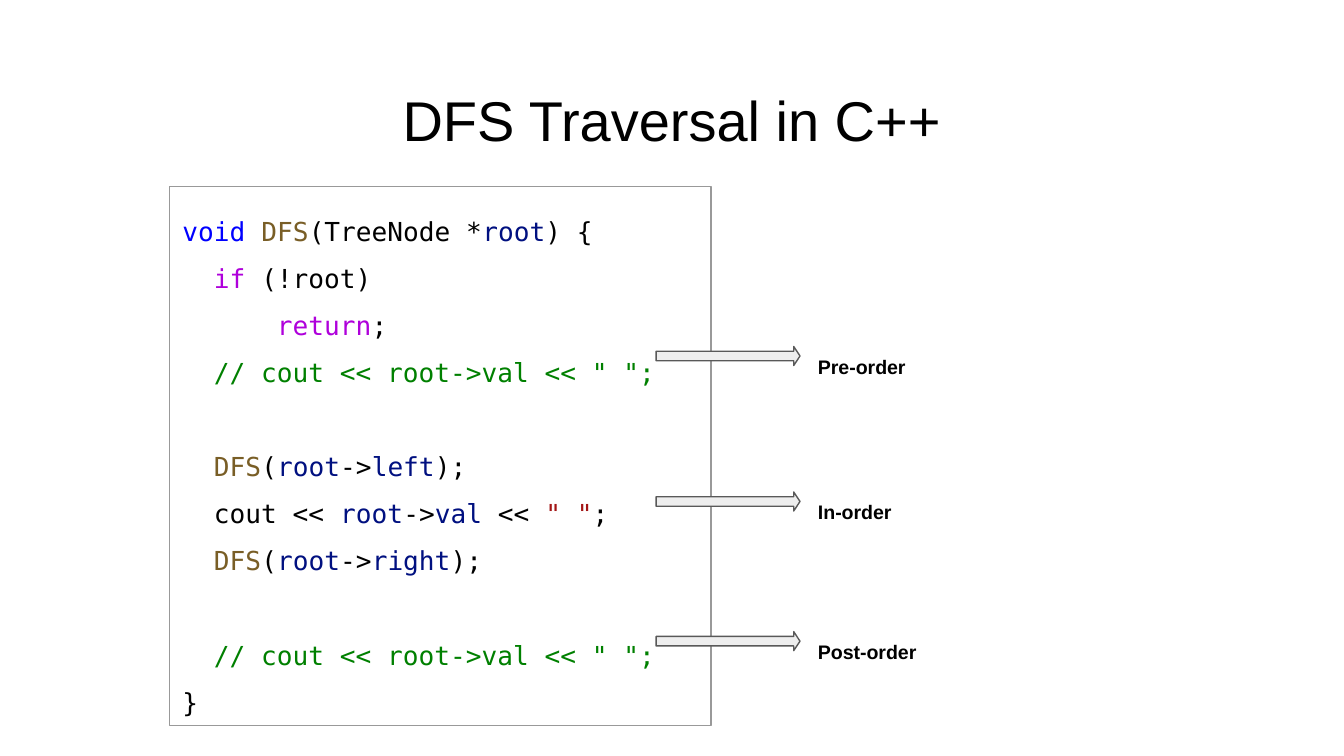
"""Build the slide that explains depth-first traversal in C++."""
import pptx
import pptx.dml.color
import pptx.enum.shapes
import pptx.enum.text
import pptx.util

Cm = pptx.util.Cm
Pt = pptx.util.Pt

BLACK, KEYWORD, FLOW = "000000", "0000FF", "AF00DB"
FUNCTION, VARIABLE = "795E26", "001080"
COMMENT, STRING = "008000", "A31515"

CODE_SIZE = 14
CHARACTER_WIDTH = 0.602 * CODE_SIZE
LINE_PITCH = 25.2


def recursive_call(child):
    """Return the coloured tokens of a call on one child."""
    return [("DFS", FUNCTION), ("(", BLACK), ("root", VARIABLE),
            ("->", BLACK), (child, VARIABLE), (");", BLACK)]


PRINT_COMMENT = [('// cout << root->val << " ";', COMMENT)]

# Each line: indent in characters, blank lines above, tokens
CODE_LINES = [
    (0, 0, [("void", KEYWORD), (" ", BLACK), ("DFS", FUNCTION),
            ("(TreeNode *", BLACK), ("root", VARIABLE), (") {", BLACK)]),
    (2, 0, [("if", FLOW), (" (!root)", BLACK)]),
    (6, 0, [("return", FLOW), (";", BLACK)]),
    (2, 0, PRINT_COMMENT),
    (2, 1, recursive_call("left")),
    (2, 0, [("cout << ", BLACK), ("root", VARIABLE), ("->", BLACK),
            ("val", VARIABLE), (" << ", BLACK), ('" "', STRING), (";", BLACK)]),
    (2, 0, recursive_call("right")),
    (2, 1, PRINT_COMMENT),
    (0, 0, [("}", BLACK)]),
]

ORDERS = [("Pre-order", 6.55), ("In-order", 9.3), ("Post-order", 11.94)]


def set_color(color_format, value):
    """Set a fill, line or font colour from a hex string."""
    color_format.rgb = pptx.dml.color.RGBColor.from_string(value)


def set_font(paragraph, name, size, bold=False):
    """Format the whole paragraph in black."""
    font = paragraph.font
    font.name, font.size, font.bold = name, Pt(size), bold
    set_color(font.color, BLACK)


def set_frame(text_frame, top=0.25, right=0.25):
    """Give a text frame its margins, wrapping and top anchor."""
    text_frame.margin_left = text_frame.margin_bottom = Cm(0.25)
    text_frame.margin_top, text_frame.margin_right = Cm(top), Cm(right)
    text_frame.word_wrap = True
    text_frame.auto_size = pptx.enum.text.MSO_AUTO_SIZE.NONE
    text_frame.vertical_anchor = pptx.enum.text.MSO_ANCHOR.TOP


def add_outlined_shape(slide, kind, box, line_color, fill_color=None):
    """Add a preset shape with a thin outline and an optional fill."""
    shape = slide.shapes.add_shape(kind, *map(Cm, box))
    shape.shadow.inherit = False
    if fill_color:
        shape.fill.solid()
        set_color(shape.fill.fore_color, fill_color)
    else:
        shape.fill.background()
    set_color(shape.line.color, line_color)
    shape.line.width = Pt(0.75)
    return shape


def set_title(slide, text):
    """Place and format the title placeholder."""
    title = slide.shapes.title
    title.left, title.top, title.width, title.height = map(
        Cm, (0.86, 1.24, 23.67, 1.6))
    title.text_frame.text = text
    set_frame(title.text_frame, top=0.37)
    paragraph = title.text_frame.paragraphs[0]
    paragraph.alignment = pptx.enum.text.PP_ALIGN.CENTER
    set_font(paragraph, "Arial", 30)


def add_code_line(paragraph, indent, blank_lines, tokens):
    """Write one line of coloured code."""
    set_font(paragraph, "DejaVu Sans Mono", CODE_SIZE)
    paragraph.alignment = pptx.enum.text.PP_ALIGN.LEFT
    paragraph.line_spacing = 1.5
    paragraph.space_before = Pt(blank_lines * LINE_PITCH)
    properties = paragraph._p.get_or_add_pPr()
    properties.set("marL", str(int(Pt(indent * CHARACTER_WIDTH))))
    properties.set("indent", "0")
    for text, color in tokens:
        run = paragraph.add_run()
        run.text = text
        set_color(run.font.color, color)


def add_code_box(slide):
    """Add the framed listing."""
    box = add_outlined_shape(slide, pptx.enum.shapes.MSO_SHAPE.RECTANGLE,
                             (3.2, 3.53, 10.24, 10.19), "999999")
    text_frame = box.text_frame
    set_frame(text_frame, right=0)
    for number, line in enumerate(CODE_LINES):
        paragraph = text_frame.add_paragraph() if number else text_frame.paragraphs[0]
        add_code_line(paragraph, *line)


def add_order(slide, name, top):
    """Add an arrow and the name of the traversal order it points to."""
    arrow = add_outlined_shape(slide, pptx.enum.shapes.MSO_SHAPE.RIGHT_ARROW,
                               (12.4, top, 2.72, 0.36), "595959", "EEEEEE")
    arrow.adjustments[0], arrow.adjustments[1] = 0.5, 0.33
    label = slide.shapes.add_textbox(*map(Cm, (15.21, top - 0.36, 3.71, 1.07)))
    set_frame(label.text_frame)
    paragraph = label.text_frame.paragraphs[0]
    paragraph.text = name
    paragraph.line_spacing = 1.6
    paragraph.space_before = Pt(3)
    set_font(paragraph, "Arial", 10.5, bold=True)


def main():
    """Build and save the presentation."""
    presentation = pptx.Presentation()
    presentation.slide_width, presentation.slide_height = Cm(25.4), Cm(14.29)
    slide = presentation.slides.add_slide(presentation.slide_layouts[5])
    set_title(slide, "DFS Traversal in C++")
    add_code_box(slide)
    for name, top in ORDERS:
        add_order(slide, name, top)
    presentation.save("out.pptx")


if __name__ == "__main__":
    main()
